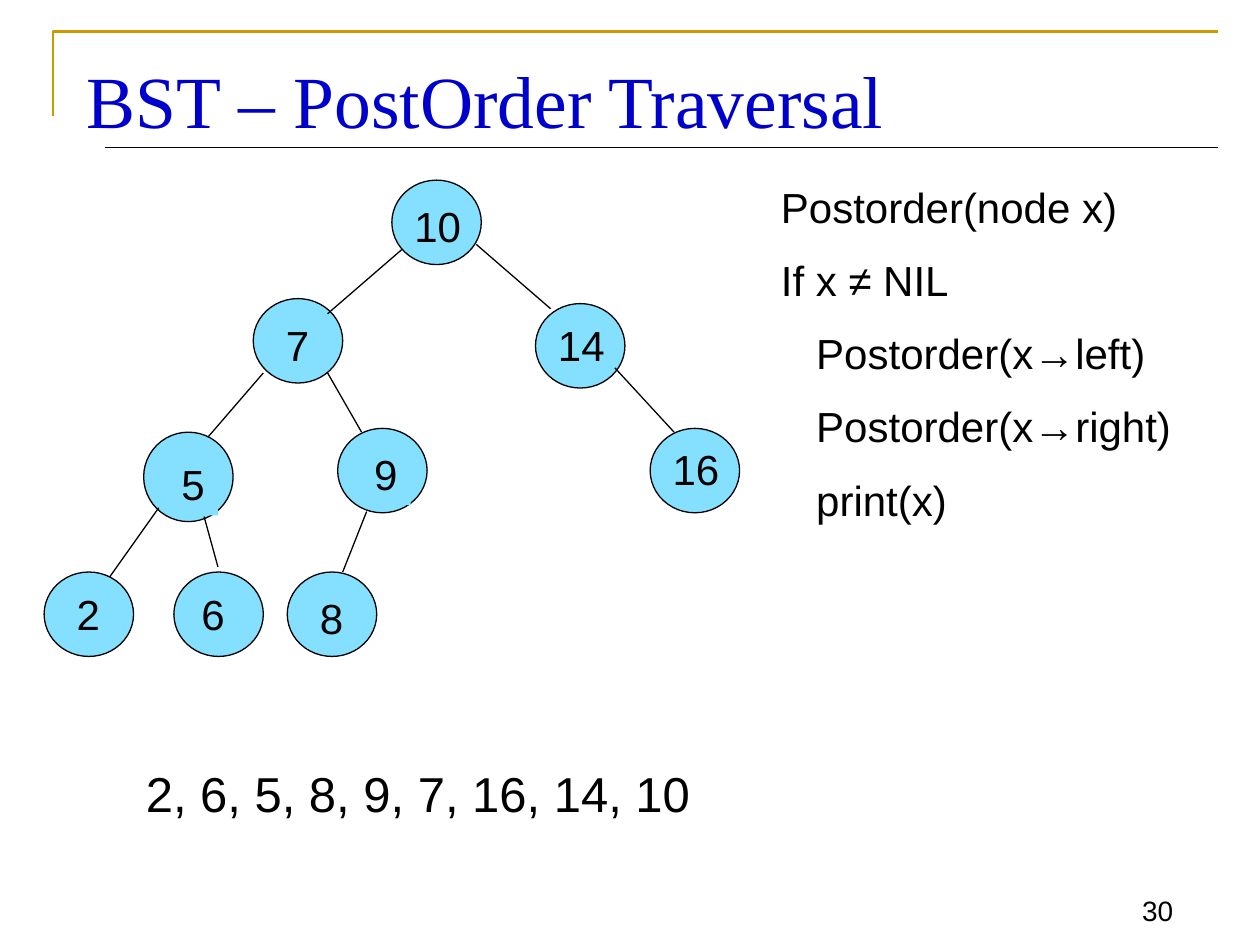
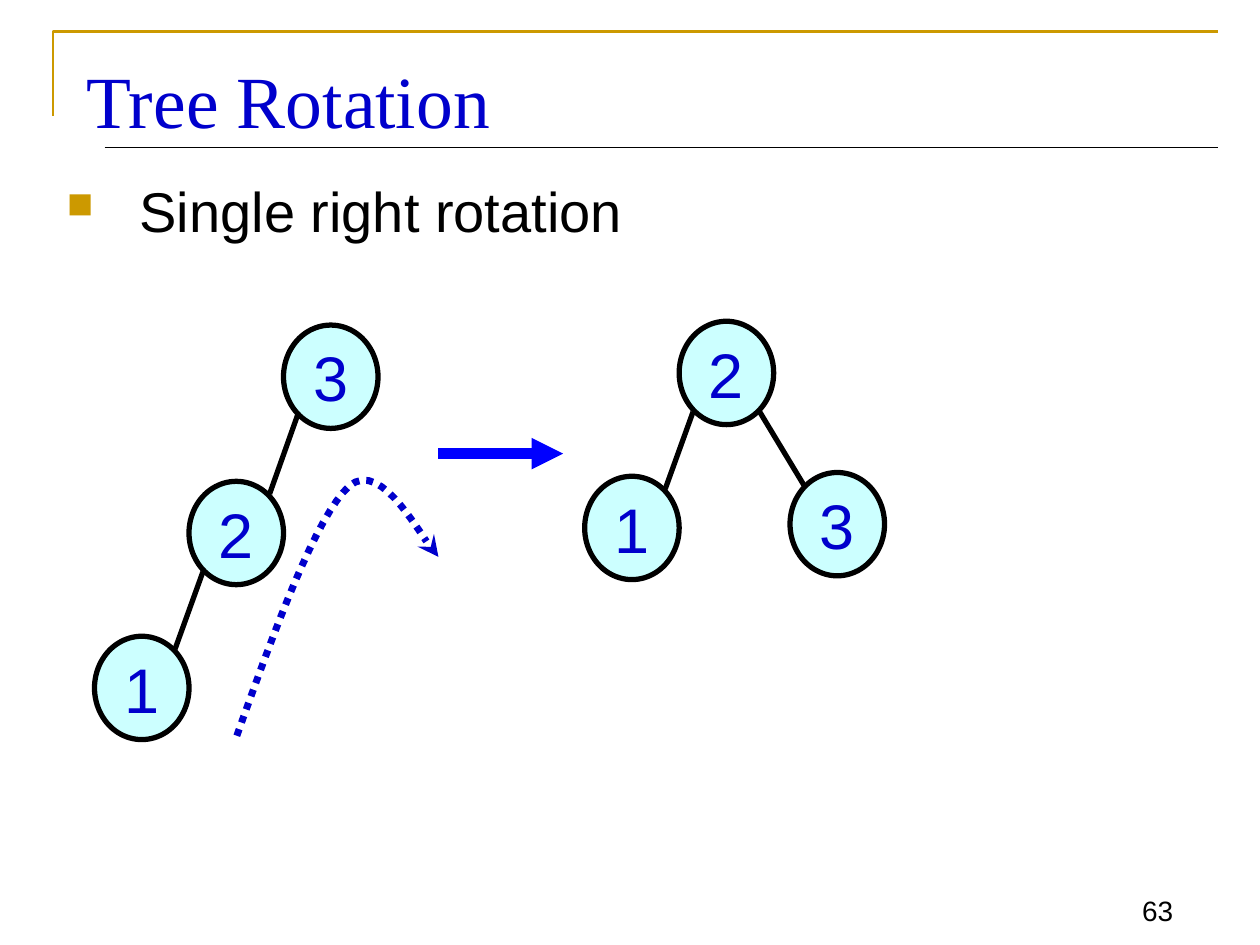
from lxml.etree import SubElement
from pptx import Presentation
from pptx.dml.color import RGBColor
from pptx.enum.dml import MSO_LINE as Dash
from pptx.enum.shapes import MSO_CONNECTOR as Connector, MSO_SHAPE as Shape
from pptx.enum.text import MSO_ANCHOR as Anchor, PP_ALIGN as Align
from pptx.oxml.ns import qn
from pptx.util import Inches, Pt

# The grid: 10 columns by 7.5 rows of square cells
COLUMNS, ROWS, CELL = 10, 7.5, Inches(1)

BLACK, WHITE, GOLD = "000000", "FFFFFF", "CC9900"
NAVY, ARROW_BLUE = "0000CC", "0000FF"
SKY, PALE = "85DFFF", "CCFFFF"
BODY_FONT, TITLE_FONT = "Arial", "Times New Roman"

# Search tree: value -> node column, row, label offset, patch behind the label
NODE_WIDTH, NODE_HEIGHT = 0.71, 0.67
SEARCH_TREE = {
    10: (3.11, 1.43, 0.08, 0.11, False),
    7: (2.01, 2.37, 0.16, 0.12, False),
    14: (4.25, 2.41, 0.08, 0.08, False),
    5: (1.14, 3.43, 0.2, 0.16, True),
    9: (2.68, 3.4, 0.19, 0.11, True),
    16: (5.16, 3.4, 0.08, 0.07, False),
    2: (0.35, 4.54, 0.16, 0.08, True),
    8: (2.28, 4.54, 0.16, 0.11, True),
    6: (1.38, 4.54, 0.12, 0.08, False),
}
TREE_EDGES = [
    ((0.87, 4.58), (1.26, 4.03)), ((1.62, 4.1), (1.73, 4.5)),
    ((1.65, 3.47), (2.09, 2.96)), ((3.78, 1.94), (4.37, 2.45)),
    ((2.6, 2.49), (3.19, 1.98)), ((2.6, 2.96), (2.87, 3.43)),
    ((2.91, 4.06), (2.72, 4.54)), ((4.88, 2.92), (5.35, 3.43)),
]
# Pseudocode: indent level, line
POSTORDER = [
    (0, "Postorder(node x)"), (0, "If x ≠ NIL"),
    (1, "Postorder(x→left)"), (1, "Postorder(x→right)"), (1, "print(x)"),
]

# Rotation: nodes by value, edges as (parent, child)
BALL_WIDTH, BALL_HEIGHT = 0.75, 0.82
BEFORE = {1: (0.75, 5.05), 2: (1.5, 3.82), 3: (2.25, 2.58)}
AFTER = {1: (4.64, 3.78), 2: (5.39, 2.55), 3: (6.27, 3.75)}
SWING = [
    [(1.88, 5.84), (2.19, 4.97), (2.51, 4.1), (2.77, 3.86)],
    [(2.77, 3.86), (3.04, 3.62), (3.37, 4.33), (3.48, 4.42)],
]


def grid(*cells):
    return [round(CELL * cell) for cell in cells]


def color(hex_code):
    return RGBColor.from_string(hex_code)


def style_font(paragraph, size, ink=BLACK, face=BODY_FONT):
    font = paragraph.font
    font.size, font.name = Pt(size), face
    font.color.rgb = color(ink)


def style_line(item, ink, weight, head=None, dash=None):
    item.line.color.rgb = color(ink)
    item.line.width = Pt(weight)
    if dash:
        item.line.dash_style = dash
    if head:
        outline = item.element.spPr.find(qn("a:ln"))
        SubElement(outline, qn("a:tailEnd"), type=head)


def add_line(slide, start, end, ink=BLACK, weight=0.75, head=None):
    line = slide.shapes.add_connector(Connector.STRAIGHT, *grid(*start, *end))
    style_line(line, ink, weight, head)
    SubElement(line.element.spPr, qn("a:effectLst"))


def add_polyline(slide, points, ink, weight, **ending):
    first, *rest = [grid(*point) for point in points]
    builder = slide.shapes.build_freeform(*first)
    builder.add_line_segments(rest, close=False)
    outline = builder.convert_to_shape()
    outline.fill.background()
    outline.shadow.inherit = False
    style_line(outline, ink, weight, **ending)


def add_ellipse(slide, at, fill, weight):
    ellipse = slide.shapes.add_shape(Shape.OVAL, *grid(*at))
    ellipse.shadow.inherit = False
    ellipse.fill.solid()
    ellipse.fill.fore_color.rgb = color(fill)
    style_line(ellipse, BLACK, weight)
    return ellipse


def add_text(slide, at, text, size, ink=BLACK, face=BODY_FONT):
    box = slide.shapes.add_textbox(*grid(*at))
    box.text_frame.word_wrap = True
    paragraph = box.text_frame.paragraphs[0]
    paragraph.text = text
    style_font(paragraph, size, ink, face)
    return box


def add_code(slide, at, lines):
    frame = slide.shapes.add_textbox(*grid(*at)).text_frame
    frame.word_wrap = True
    for number, (level, text) in enumerate(lines):
        line = frame.add_paragraph() if number else frame.paragraphs[0]
        line.text = text
        line.space_before = Pt(13 if number else 0)
        line._p.get_or_add_pPr().set("marL", str(round(level * 0.28 * CELL)))
        style_font(line, 24)


def add_bullet(slide, at, text):
    box = slide.shapes.add_textbox(*grid(*at))
    box.text_frame.word_wrap = True
    paragraph = box.text_frame.paragraphs[0]
    paragraph.text = text
    indent = round(0.58 * CELL)
    properties = paragraph._p.get_or_add_pPr()
    properties.set("marL", str(indent))
    properties.set("indent", str(-indent))
    SubElement(SubElement(properties, qn("a:buClr")), qn("a:srgbClr"), val=GOLD)
    SubElement(properties, qn("a:buSzPct"), val="65000")
    SubElement(properties, qn("a:buChar"), char="■")
    style_font(paragraph, 32)


def add_slide(deck, title, number):
    """Blank slide with the shared frame, title and page number."""
    slide = deck.slides.add_slide(deck.slide_layouts[6])
    slide.background.fill.solid()
    slide.background.fill.fore_color.rgb = color(WHITE)
    right = COLUMNS - 0.33
    add_polyline(slide, [(0.42, 0.92), (0.42, 0.25), (right, 0.25)], GOLD, 1.5)
    add_line(slide, (0.83, 1.17), (right, 1.17))

    page = add_text(slide, (8.75, ROWS - 0.58, 0.66, 0.49), str(number), 16)
    page.text_frame.vertical_anchor = Anchor.BOTTOM
    page.text_frame.paragraphs[0].alignment = Align.RIGHT

    heading = add_text(slide, (0.59, 0.32, 9.06, 0.79), title, 42, NAVY, TITLE_FONT)
    heading.text_frame.margin_top = Inches(0.12)
    return slide


def draw_search_tree(slide):
    for value, (left, top, *_) in SEARCH_TREE.items():
        height = NODE_WIDTH if value == 5 else NODE_HEIGHT
        add_ellipse(slide, (left, top, NODE_WIDTH, height), SKY, 0.75)
    for start, end in TREE_EDGES:
        add_line(slide, start, end)
    for value, (left, top, across, down, patched) in SEARCH_TREE.items():
        width = 0.58 if value > 9 else 0.39
        label = add_text(slide, (left + across, top + down, width, 0.5), str(value), 24)
        label.text_frame.margin_right = 0
        if patched:
            label.fill.solid()
            label.fill.fore_color.rgb = color(SKY)


def draw_rotation_tree(slide, nodes, edges):
    for value, at in nodes.items():
        ball = add_ellipse(slide, (*at, BALL_WIDTH, BALL_HEIGHT), PALE, 3)
        frame = ball.text_frame
        frame.word_wrap = False
        frame.vertical_anchor = Anchor.MIDDLE
        paragraph = frame.paragraphs[0]
        paragraph.text = str(value)
        paragraph.alignment = Align.CENTER
        style_font(paragraph, 36, NAVY)
    # Edges join the lower corner of the parent to the upper corner of the child
    near, far, inset = 0.11, BALL_WIDTH - 0.11, 0.1
    for parent, child in edges:
        (x1, y1), (x2, y2) = nodes[parent], nodes[child]
        exit_x, entry_x = (near, far) if x2 < x1 else (far, near)
        add_line(slide, (x2 + entry_x, y2 + inset),
                 (x1 + exit_x, y1 + BALL_HEIGHT - inset), weight=3)


def bezier(controls, steps=16):
    """Points along a cubic curve, both ends included."""
    weights = [((1 - t) ** 3, 3 * t * (1 - t) ** 2, 3 * t * t * (1 - t), t ** 3)
               for t in (step / steps for step in range(steps + 1))]
    return [tuple(sum(w * c for w, c in zip(row, axis)) for axis in zip(*controls))
            for row in weights]


def build_traversal(deck):
    slide = add_slide(deck, "BST – PostOrder Traversal", 30)
    draw_search_tree(slide)
    add_code(slide, (6.1, 1.39, 3.43, 2.93), POSTORDER)
    add_text(slide, (1.06, 6.01, 5, 0.57), "2, 6, 5, 8, 9, 7, 16, 14, 10", 28)


def build_rotation(deck):
    slide = add_slide(deck, "Tree Rotation", 63)
    add_bullet(slide, (0.43, 1.35, 8.86, 0.67), "Single right rotation")
    draw_rotation_tree(slide, BEFORE, [(2, 1), (3, 2)])
    rise, fall = map(bezier, SWING)
    add_polyline(slide, rise + fall[1:], NAVY, 4, head="stealth", dash=Dash.ROUND_DOT)
    draw_rotation_tree(slide, AFTER, [(2, 1), (2, 3)])
    add_line(slide, (3.48, 3.6), (4.47, 3.6), ARROW_BLUE, 6, "triangle")


def main():
    deck = Presentation()
    deck.slide_width, deck.slide_height = grid(COLUMNS, ROWS)
    build_traversal(deck)
    build_rotation(deck)
    deck.save("out.pptx")


if __name__ == "__main__":
    main()
